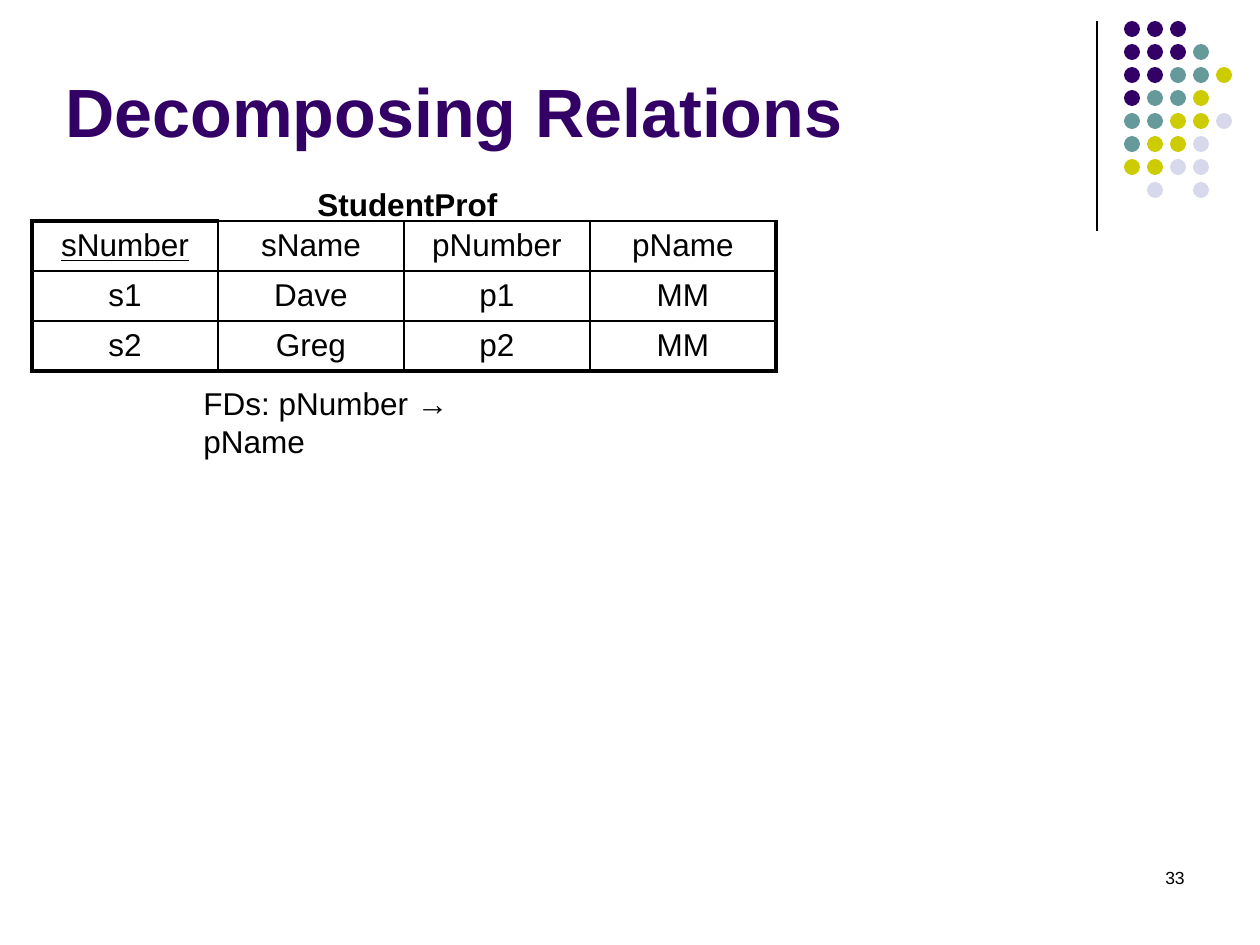
"""Build the Decomposing Relations slide with its StudentProf table."""
from lxml import etree
from pptx import Presentation
from pptx import util as u
from pptx.dml.color import RGBColor
from pptx.enum import shapes, text
from pptx.oxml.ns import qn

PX = 914400 / 126


def px(*nums):
    return [u.Emu(round(n * PX)) for n in nums]


def style(frame, size, hue="000000", bold=False, align="LEFT"):
    for para in frame.paragraphs:
        para.alignment = getattr(text.PP_ALIGN, align)
        for run in para.runs:
            run.font.name = "Arial"
            run.font.size = u.Pt(size)
            run.font.bold = bold
            run.font.color.rgb = RGBColor.from_string(hue)


deck = Presentation()
deck.slide_width, deck.slide_height = px(1260, 945)
slide = deck.slides.add_slide(deck.slide_layouts[6])
items = slide.shapes

rule = items.add_connector(shapes.MSO_CONNECTOR.STRAIGHT, *px(1097, 21, 1097, 231))
rule.line.color.rgb = RGBColor.from_string("000000")
rule.line.width = u.Pt(0.75)
etree.SubElement(rule.element.spPr, qn("a:effectLst"))

hues = {"P": "330066", "T": "669999", "Y": "CCCC00", "L": "D8D8EC"}
dots = ["PPP", "PPPT", "PPTTY", "PTTY", "TTYYL", "TYYL", "YYLL", " L L"]
for row, line in enumerate(dots):
    for col, key in enumerate(line):
        if key in hues:
            dot = items.add_shape(shapes.MSO_SHAPE.OVAL,
                                  *px(1124 + 23 * col, 21 + 23 * row, 16, 16))
            dot.shadow.inherit = False
            dot.fill.solid()
            dot.fill.fore_color.rgb = RGBColor.from_string(hues[key])
            dot.line.fill.background()

data = [["sNumber", "sName", "pNumber", "pName"],
        ["s1", "Dave", "p1", "MM"],
        ["s2", "Greg", "p2", "MM"]]
table = items.add_table(3, 4, *px(32, 221, 744, 150)).table
table.first_row = table.horz_banding = False
for row, line in enumerate(data):
    table.rows[row].height = px(50)[0]
    for col, word in enumerate(line):
        table.columns[col].width = px(186)[0]
        cell = table.cell(row, col)
        cell.text_frame.text = word
        cell.vertical_anchor = text.MSO_ANCHOR.MIDDLE
        style(cell.text_frame, 18, align="CENTER")
        thick = {"lnL": col == 0, "lnR": col == 3,
                 "lnT": row == 0 and col == 0, "lnB": row == 2}
        props = cell._tc.get_or_add_tcPr()
        for side, wide in thick.items():
            edge = etree.SubElement(props, qn("a:" + side),
                                    w=str(u.Pt(2.25 if wide else 1)))
            fill = etree.SubElement(edge, qn("a:solidFill"))
            etree.SubElement(fill, qn("a:srgbClr"), val="000000")
        cell.fill.background()
table.cell(0, 0).text_frame.paragraphs[0].runs[0].font.underline = True

labels = [
    ("Decomposing Relations", (53, 21, 1040, 136), "BOTTOM", (39, "330066", True)),
    ("StudentProf", (305, 179, 205, 50), "TOP", (18, "000000", True)),
    ("FDs: pNumber → pName", (191, 378, 372, 50), "TOP", (18,)),
    ("33", (903, 861, 294, 63), "TOP", (10, "000000", False, "RIGHT")),
]
for words, spot, anchor, look in labels:
    frame = items.add_textbox(*px(*spot)).text_frame
    frame.word_wrap = True
    frame.vertical_anchor = getattr(text.MSO_ANCHOR, anchor)
    frame.text = words
    style(frame, *look)

deck.save("out.pptx")
